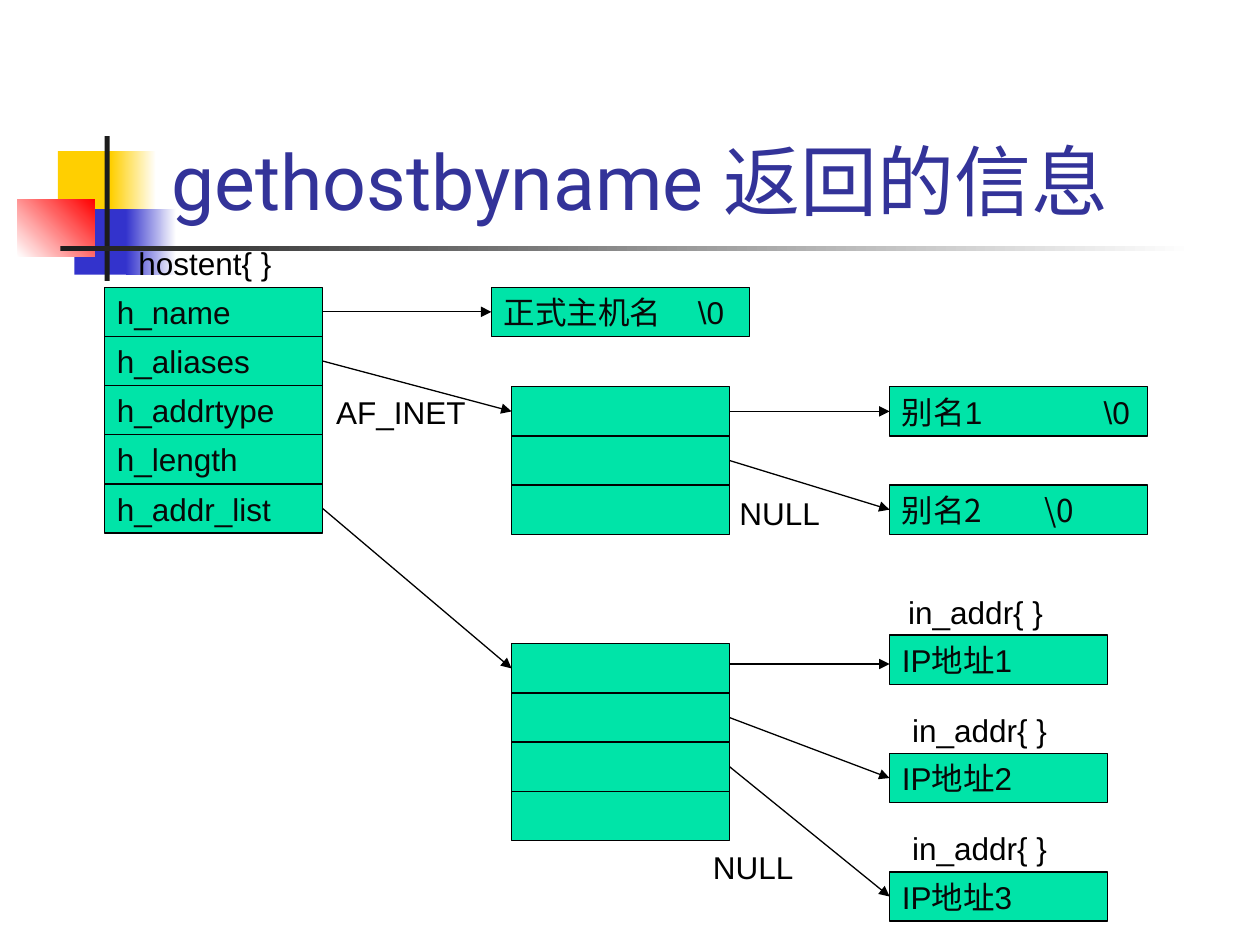
from dataclasses import dataclass

from lxml import etree
from pptx import Presentation
from pptx.dml import color as dml
from pptx.enum import shapes, text
from pptx.oxml import ns
from pptx.util import Inches, Pt

HUES = {
    "gold": "FFCF01", "blue": "3333CC", "red": "FF0000", "dark": "1C1C1C",
    "white": "FFFFFF", "title": "333399", "green": "00E4A8",
    "ink": "080808", "black": "000000",
}
ROW = 0.39
WIDE, SLIM = 2.05, 1.73
LEFT, MID, RIGHT = 0.83, 4.06, 7.06


@dataclass
class Block:
    x: float
    y: float
    w: float
    h: float
    hue: str
    fade: str = ""
    angle: int = 0


@dataclass
class Cell:
    x: float
    y: float
    w: float
    words: str = ""
    tab: float = 0
    font: str = "Arial"


@dataclass
class Label:
    x: float
    y: float
    w: float
    words: str


def rgb(hue: str) -> dml.RGBColor:
    return dml.RGBColor.from_string(HUES[hue])


def style(frame, size: int, font: str, hue: str) -> None:
    for part in frame.paragraphs:
        part.alignment = text.PP_ALIGN.LEFT
        for run in part.runs:
            run.font.size = Pt(size)
            run.font.name = font
            run.font.color.rgb = rgb(hue)
            east = etree.SubElement(run._r.get_or_add_rPr(), ns.qn("a:ea"))
            east.set("typeface", "Noto Sans CJK JP")


def add_rect(slide, x: float, y: float, w: float, h: float):
    rect = slide.shapes.add_shape(
        shapes.MSO_SHAPE.RECTANGLE, Inches(x), Inches(y), Inches(w), Inches(h))
    rect.shadow.inherit = False
    return rect


def add_block(slide, block: Block) -> None:
    rect = add_rect(slide, block.x, block.y, block.w, block.h)
    rect.line.fill.background()
    if block.fade:
        rect.fill.gradient()
        rect.fill.gradient_angle = block.angle
        for stop, hue in zip(rect.fill.gradient_stops, (block.hue, block.fade)):
            stop.color.rgb = rgb(hue)
    else:
        rect.fill.solid()
        rect.fill.fore_color.rgb = rgb(block.hue)


def add_cell(slide, cell: Cell):
    rect = add_rect(slide, cell.x, cell.y, cell.w, ROW)
    rect.fill.solid()
    rect.fill.fore_color.rgb = rgb("green")
    rect.line.color.rgb = rgb("black")
    rect.line.width = Pt(0.75)
    if cell.words:
        frame = rect.text_frame
        frame.text = cell.words
        frame.vertical_anchor = text.MSO_ANCHOR.MIDDLE
        style(frame, 18, cell.font, "ink")
        if cell.tab:
            props = frame.paragraphs[0]._p.get_or_add_pPr()
            stops = etree.SubElement(props, ns.qn("a:tabLst"))
            etree.SubElement(stops, ns.qn("a:tab"),
                             pos=str(Inches(cell.tab)), algn="l")
    return rect


def add_stack(slide, x: float, y: float, names: list[str]) -> list:
    return [add_cell(slide, Cell(x, y + ROW * i, SLIM, name))
            for i, name in enumerate(names)]


def add_label(slide, label: Label) -> None:
    box = slide.shapes.add_textbox(
        Inches(label.x), Inches(label.y), Inches(label.w), Inches(0.4))
    box.text_frame.word_wrap = True
    box.text_frame.text = label.words
    style(box.text_frame, 18, "Arial", "black")


def add_line(slide, x: float, y: float, end: float):
    line = slide.shapes.add_connector(
        shapes.MSO_CONNECTOR.STRAIGHT, Inches(x), Inches(y), Inches(end), Inches(y))
    line.line.color.rgb = rgb("black")
    line.line.width = Pt(0.75)
    etree.SubElement(line.line._get_or_add_ln(), ns.qn("a:tailEnd"), type="triangle")
    etree.SubElement(line._element.spPr, ns.qn("a:effectLst"))
    return line


def join(slide, start, end) -> None:
    line = add_line(slide, 0, 0, 0)
    line.begin_connect(start, 3)
    line.end_connect(end, 1)


def add_title(slide, words: str) -> None:
    box = slide.shapes.add_textbox(
        Inches(1.26), Inches(0.99), Inches(8.52), Inches(0.85))
    frame = box.text_frame
    frame.word_wrap = True
    frame.vertical_anchor = text.MSO_ANCHOR.BOTTOM
    frame.text = words
    style(frame, 44, "Roboto", "title")


BLOCKS = [
    Block(0.46, 1.2, 0.48, 0.52, "gold"),
    Block(0.88, 1.2, 0.36, 0.52, "gold", "white"),
    Block(0.59, 1.66, 0.46, 0.52, "blue"),
    Block(1, 1.66, 0.4, 0.52, "blue", "white"),
    Block(0.14, 1.58, 0.61, 0.46, "white", "red", 45),
    Block(0.83, 1.08, 0.04, 1.15, "dark"),
    Block(0.48, 1.95, 9, 0.04, "dark", "white"),
]
FIELDS = ["h_name", "h_aliases", "h_addrtype", "h_length", "h_addr_list"]
HOST = Cell(3.9, 2.28, WIDE, "正式主机名\t\\0", 1.54)
ALIASES = [
    Cell(RIGHT, 3.07, WIDE, "别名1\t\\0", 1.6),
    Cell(RIGHT, 3.85, WIDE, "别名2\t\\0", 1.13, "Noto Sans CJK JP"),
]
HOSTS = [Cell(RIGHT, 5.04 + 0.94 * i, SLIM, f"IP地址{i + 1}") for i in range(3)]
LABELS = [
    Label(1, 1.89, 1.4, "hostent{ }"),
    Label(5.77, 3.87, 0.9, "NULL"),
    Label(5.56, 6.68, 0.9, "NULL"),
    Label(2.57, 3.07, 1.3, "AF_INET"),
    Label(7.11, 4.66, 1.4, "in_addr{ }"),
    Label(7.14, 5.59, 1.4, "in_addr{ }"),
    Label(7.14, 6.53, 1.4, "in_addr{ }"),
]


def main() -> None:
    deck = Presentation()
    deck.slide_width, deck.slide_height = Inches(10), Inches(7.5)
    slide = deck.slides.add_slide(deck.slide_layouts[6])
    for block in BLOCKS:
        add_block(slide, block)
    add_title(slide, "gethostbyname 返回的信息")

    fields = add_stack(slide, LEFT, 2.28, FIELDS)
    names = add_stack(slide, MID, 3.07, [""] * 3)
    slots = add_stack(slide, MID, 5.11, [""] * 4)
    host = add_cell(slide, HOST)
    aliases = [add_cell(slide, cell) for cell in ALIASES]
    hosts = [add_cell(slide, cell) for cell in HOSTS]

    links = [(fields[0], host), (fields[1], names[0]), (fields[4], slots[0])]
    links += [*zip(names, aliases), *zip(slots[1:], hosts[1:])]
    for start, end in links:
        join(slide, start, end)
    add_line(slide, MID + SLIM, 5.27, RIGHT)
    for label in LABELS:
        add_label(slide, label)
    deck.save("out.pptx")


if __name__ == "__main__":
    main()
